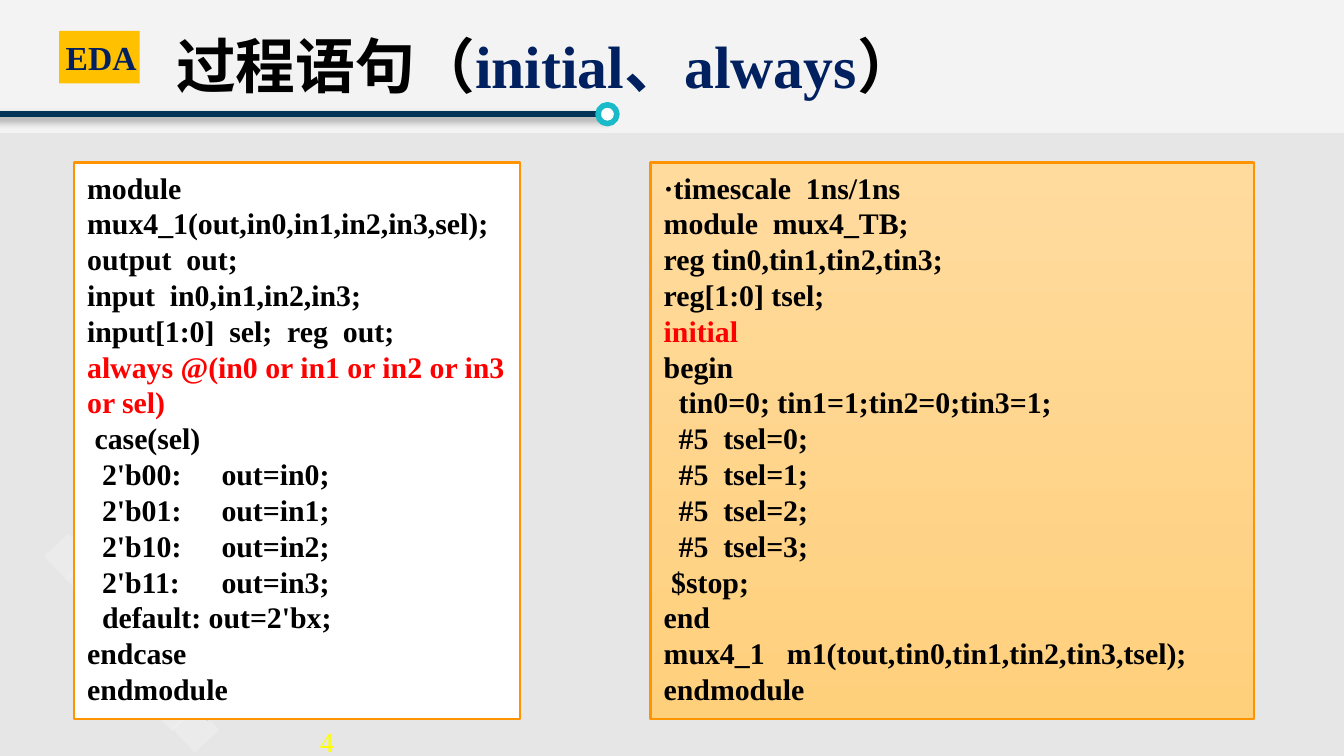
from dataclasses import dataclass
from typing import Optional

from pptx import Presentation
from pptx.dml.color import RGBColor
from pptx.enum.shapes import MSO_CONNECTOR, MSO_SHAPE
from pptx.enum.text import MSO_ANCHOR, PP_ALIGN
from pptx.oxml import parse_xml
from pptx.oxml.ns import nsdecls
from pptx.util import Inches, Pt

COLORS = {
    "white": "FFFFFF", "black": "000000", "red": "FF0000", "yellow": "FFFF00",
    "navy": "002060", "rule": "003456", "teal": "1ABAC8", "gold": "FFC000",
    "orange": "FF9300", "peach": "FFDB9E", "apricot": "FFD07C",
    "band": "E6E6E6", "body": "D9D9D9", "blue": "3773A4", "pale": "F2F2F2",
}
FONT = "Times New Roman"
SLIDE_WIDTH = 10
SLIDE_HEIGHT = SLIDE_WIDTH * 9 / 16
HEADER_HEIGHT = 0.99


@dataclass
class Box:
    left: float
    top: float
    width: float
    height: float
    fill: str
    alpha: int = 100
    rotation: float = 0
    fill_end: Optional[str] = None
    line: Optional[str] = None
    line_width: float = 0
    shape: MSO_SHAPE = MSO_SHAPE.RECTANGLE


@dataclass
class CodePanel:
    box: Box
    code: str
    highlight: str


BACKDROP = [
    Box(0, 0, SLIDE_WIDTH, SLIDE_HEIGHT, "band", 47),
    Box(0, HEADER_HEIGHT, SLIDE_WIDTH, SLIDE_HEIGHT - HEADER_HEIGHT, "body", 47),
]
DIAMONDS = [
    Box(left, top, size, size, fill, alpha, 47.2)
    for left, top, size, fill, alpha in [
        (0.62, 4.68, 0.25, "blue", 33), (0.38, 4.02, 0.25, "pale", 46),
        (1.41, 5.03, 0.28, "blue", 33), (1.16, 5.14, 0.25, "pale", 46),
        (0.54, 4.19, 0.25, "pale", 46), (1.33, 5.3, 0.25, "pale", 46),
    ]
]
RING = Box(4.45, 0.78, 0.14, 0.14, "white", line="teal", line_width=3,
           shape=MSO_SHAPE.OVAL)
BADGE = Box(0.44, 0.23, 0.6, 0.39, "gold")

MUX_CODE = """module  mux4_1(out,in0,in1,in2,in3,sel);
output  out;
input  in0,in1,in2,in3;
input[1:0]  sel;  reg  out;
always @(in0 or in1 or in2 or in3 or sel)
 case(sel)
  2'b00: \tout=in0;
  2'b01: \tout=in1;
  2'b10: \tout=in2;
  2'b11: \tout=in3;
  default: out=2'bx;
endcase
endmodule"""

TESTBENCH_CODE = """·timescale  1ns/1ns
module  mux4_TB;
reg tin0,tin1,tin2,tin3;
reg[1:0] tsel;
initial
begin
  tin0=0; tin1=1;tin2=0;tin3=1;
  #5  tsel=0;
  #5  tsel=1;
  #5  tsel=2;
  #5  tsel=3;
 $stop;
end
mux4_1   m1(tout,tin0,tin1,tin2,tin3,tsel);
endmodule"""

PANELS = [
    CodePanel(Box(0.55, 1.21, 3.32, 4.14, "white", line="orange", line_width=1.5),
              MUX_CODE, "always"),
    CodePanel(Box(4.84, 1.21, 4.49, 4.14, "peach", fill_end="apricot",
                  line="orange", line_width=1.5),
              TESTBENCH_CODE, "initial"),
]


def rgb(name: str) -> RGBColor:
    return RGBColor.from_string(COLORS[name])


def add_box(s, box: Box):
    sp = s.shapes.add_shape(box.shape, Inches(box.left), Inches(box.top),
                            Inches(box.width), Inches(box.height))
    sp.shadow.inherit = False
    sp.rotation = box.rotation
    if box.fill_end:
        sp.fill.gradient()
        sp.fill.gradient_angle = 270
        for stop, name in zip(sp.fill.gradient_stops, (box.fill, box.fill_end)):
            stop.color.rgb = rgb(name)
    else:
        sp.fill.solid()
        sp.fill.fore_color.rgb = rgb(box.fill)
    if box.alpha < 100:
        sp._element.spPr.find(".//{*}srgbClr").append(
            parse_xml(f'<a:alpha {nsdecls("a")} val="{box.alpha * 1000}"/>'))
    if box.line:
        sp.line.color.rgb = rgb(box.line)
        sp.line.width = Pt(box.line_width)
    else:
        sp.line.fill.background()
    return sp


def add_run(p, text: str, size: float, color: str, bold: bool = True) -> None:
    r = p.add_run()
    r.text = text
    for name, value in {"name": FONT, "size": Pt(size), "bold": bold}.items():
        setattr(r.font, name, value)
    r.font.color.rgb = rgb(color)


def add_label(s, left: float, top: float, width: float, height: float):
    tf = s.shapes.add_textbox(Inches(left), Inches(top),
                              Inches(width), Inches(height)).text_frame
    tf.word_wrap = True
    return tf


def add_panel(s, panel: CodePanel) -> None:
    tf = add_box(s, panel.box).text_frame
    tf.word_wrap = True
    tf.vertical_anchor = MSO_ANCHOR.TOP
    for i, line in enumerate(panel.code.split("\n")):
        p = tf.add_paragraph() if i else tf.paragraphs[0]
        p.alignment = PP_ALIGN.LEFT
        add_run(p, line, 16, "red" if line.startswith(panel.highlight) else "black")


def add_rule(s) -> None:
    """Draw the shadowed line under the title."""
    rule = s.shapes.add_connector(MSO_CONNECTOR.STRAIGHT, Inches(-0.23), Inches(0.85),
                                  Inches(4.49), Inches(0.85))
    rule.line.color.rgb = rgb("rule")
    rule.line.width = Pt(3)
    rule._element.spPr.append(parse_xml(
        f'<a:effectLst {nsdecls("a")}><a:outerShdw blurRad="{Pt(4)}" dist="{Pt(3)}" '
        f'dir="2700000"><a:srgbClr val="{COLORS["black"]}"><a:alpha val="40000"/>'
        '</a:srgbClr></a:outerShdw></a:effectLst>'))


def fill_title(title) -> None:
    place = {"left": 1.21, "top": -0.03, "width": 8.62, "height": 1.09}
    for name, value in place.items():
        setattr(title, name, Inches(value))
    title.text_frame.vertical_anchor = MSO_ANCHOR.MIDDLE
    p = title.text_frame.paragraphs[0]
    p.alignment = PP_ALIGN.LEFT
    p.line_spacing = 0.9
    for text, color in [("过程语句（", "black"), ("initial、always", "navy"), ("）", "black")]:
        add_run(p, text, 32, color)


def main() -> None:
    prs = Presentation()
    prs.slide_width, prs.slide_height = Inches(SLIDE_WIDTH), Inches(SLIDE_HEIGHT)
    s = prs.slides.add_slide(prs.slide_layouts[5])
    title = s.shapes.title

    for box in BACKDROP:
        add_box(s, box)
    add_rule(s)
    for box in [*DIAMONDS, RING, BADGE]:
        add_box(s, box)

    tf = add_label(s, 0.39, 0.21, 0.88, 0.47)
    tf.vertical_anchor = MSO_ANCHOR.MIDDLE
    tf.paragraphs[0].line_spacing = 0.9
    add_run(tf.paragraphs[0], "EDA", 18, "navy")

    tf = add_label(s, 2.31, 5.35, 1.75, 0.25)
    for side, inset in {"left": 0.07, "right": 0.07, "top": 0.04, "bottom": 0.04}.items():
        setattr(tf, f"margin_{side}", Inches(inset))
    add_run(tf.paragraphs[0], "4", 15, "yellow", bold=False)

    s.shapes._spTree.append(title._element)
    fill_title(title)
    for panel in PANELS:
        add_panel(s, panel)
    prs.save("out.pptx")


if __name__ == "__main__":
    main()
